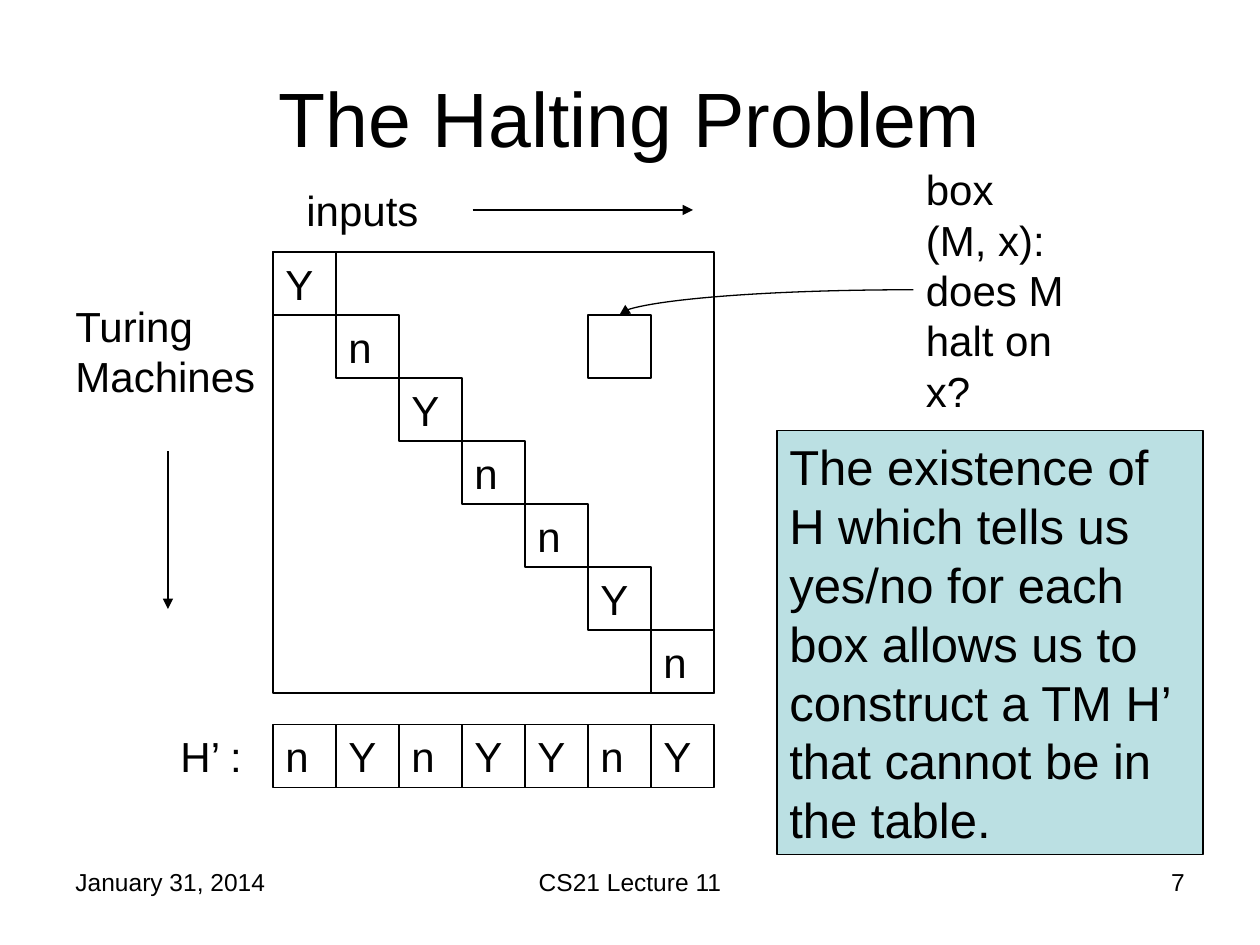
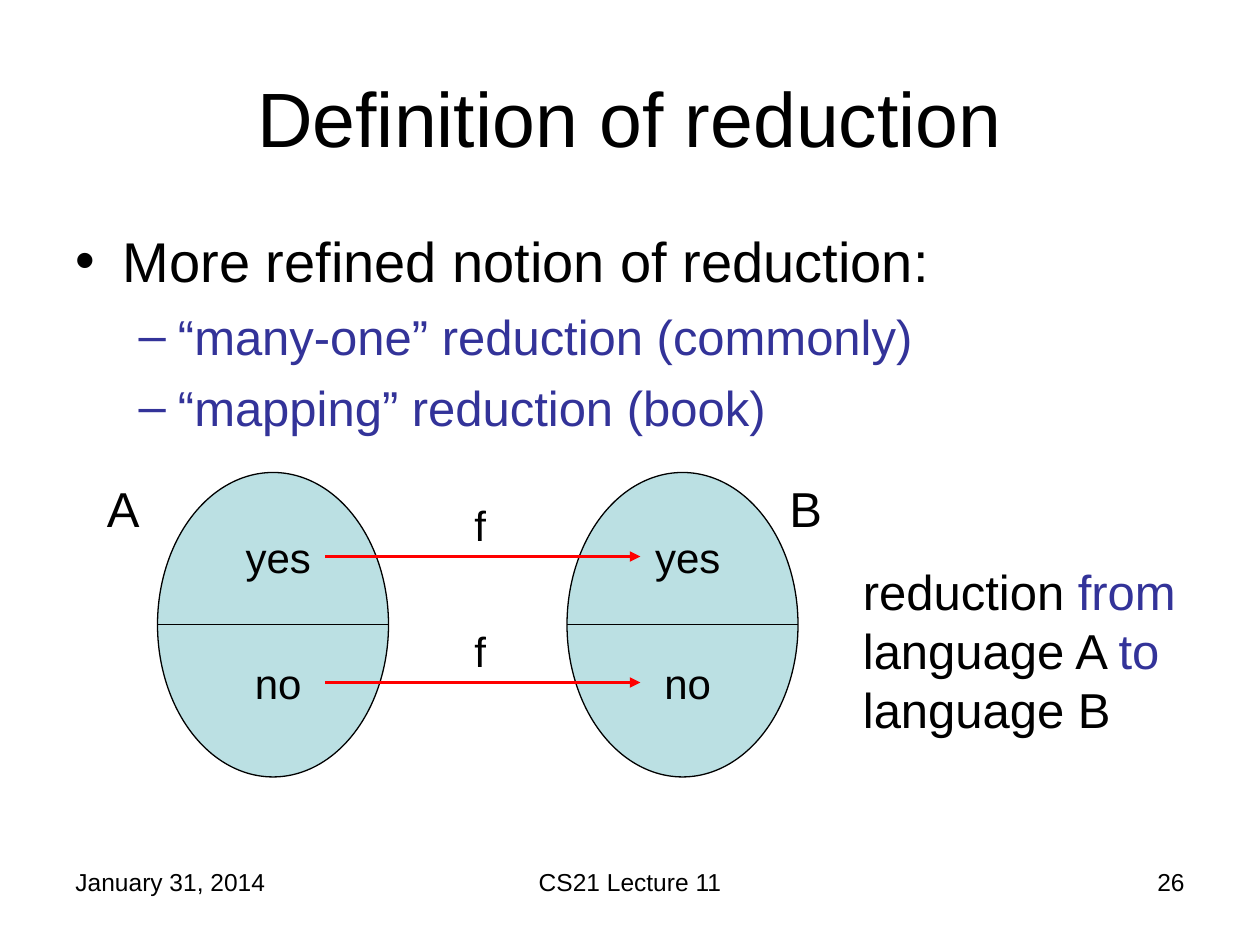
from pptx import Presentation
from pptx.dml.color import RGBColor
from pptx.enum.shapes import MSO_CONNECTOR as Link, MSO_SHAPE as Preset
from pptx.enum.text import MSO_ANCHOR as Anchor, MSO_AUTO_SIZE as AutoSize, PP_ALIGN as Align
from pptx.oxml.ns import qn
from pptx.util import Pt
from lxml.etree import SubElement

FONT = "Arial"
BLACK = RGBColor(0x00, 0x00, 0x00)
BLUE = RGBColor(0x33, 0x33, 0x99)
TEAL = RGBColor(0xBB, 0xE0, 0xE3)
RED = RGBColor(0xFF, 0x00, 0x00)


def add_box(page, left, top, width, height, text="", size=24, align=Align.LEFT, preset=None, fill=None):
    """Add a text box, or an outlined preset shape, and return its paragraph."""
    frame = Pt(left), Pt(top), Pt(width), Pt(height)
    if preset is None:
        box = page.shapes.add_textbox(*frame)
    else:
        box = page.shapes.add_shape(preset, *frame)
        box.shadow.inherit = False
        box.line.color.rgb = BLACK
        box.line.width = Pt(0.75)
        if fill is None:
            box.fill.background()
        else:
            box.fill.solid()
            box.fill.fore_color.rgb = fill
    box.text_frame.word_wrap = True
    box.text_frame.vertical_anchor = Anchor.TOP
    para = box.text_frame.paragraphs[0]
    para.text = text
    para.alignment = align
    para.font.name = FONT
    para.font.size = Pt(size)
    para.font.color.rgb = BLACK
    return para


def add_line(page, start, end, color=BLACK, width=0.75, arrow=True, kind=Link.STRAIGHT):
    line = page.shapes.add_connector(kind, *map(Pt, start + end))
    line.line.color.rgb = color
    line.line.width = Pt(width)
    if arrow:
        SubElement(line.line._get_or_add_ln(), qn("a:tailEnd"), type="triangle")
    SubElement(line._element.spPr, qn("a:effectLst"))
    return line


deck = Presentation()
deck.slide_width, deck.slide_height = Pt(720), Pt(540)
title_only, title_and_body = deck.slide_layouts[5], deck.slide_layouts[1]
halting = deck.slides.add_slide(title_only)
reduction = deck.slides.add_slide(title_and_body)

# Titles and footers
for page, title, number in (
    (halting, "The Halting Problem", "7"),
    (reduction, "Definition of reduction", "26"),
):
    heading = page.shapes.title
    heading.left, heading.top, heading.width, heading.height = Pt(36), Pt(21.6), Pt(648), Pt(90)
    heading.text_frame.text = title
    heading.text_frame.vertical_anchor = Anchor.MIDDLE
    heading.text_frame.auto_size = AutoSize.NONE
    para = heading.text_frame.paragraphs[0]
    para.alignment = Align.CENTER
    para.font.name = FONT
    para.font.size = Pt(44)
    para.font.color.rgb = BLACK
    for left, width, text, align in (
        (36, 168, "January 31, 2014", Align.LEFT),
        (246, 228, "CS21 Lecture 11", Align.CENTER),
        (516, 168, number, Align.RIGHT),
    ):
        add_box(page, left, 492, width, 37.5, text, 14, align)

# The Halting Problem: diagonal of the table, and its opposite as row H’
CELL = 36
TABLE_LEFT, TABLE_TOP, FLIPPED_TOP = 156, 144, 414
DIAGONAL = "YnYnnYn"
side = CELL * len(DIAGONAL)
add_box(halting, TABLE_LEFT, TABLE_TOP, side, side, preset=Preset.RECTANGLE)
for index, answer in enumerate(DIAGONAL):
    flipped = "n" if answer == "Y" else "Y"
    for top, text in ((TABLE_TOP + index * CELL, answer), (FLIPPED_TOP, flipped)):
        add_box(halting, TABLE_LEFT + index * CELL, top, CELL, CELL, text, preset=Preset.RECTANGLE)
add_box(halting, TABLE_LEFT + 5 * CELL, TABLE_TOP + CELL, CELL, CELL, preset=Preset.RECTANGLE)

for left, top, width, height, text in (
    (36, 168, 132, 65, "Turing Machines"),
    (168, 102, 132, 36, "inputs"),
    (96, FLIPPED_TOP, 60, 36, "H’ :"),
    (522, 90, 102, 151, "box\v(M, x): does M halt on x?"),
):
    add_box(halting, left, top, width, height, text)
add_line(halting, (96, 258), (96, 348))
add_line(halting, (270, 120), (396, 120))
pointer = add_line(halting, (522, 165.6), (354, 180), kind=Link.CURVE)
pointer._element.spPr.find(qn("a:prstGeom")).set("prst", "curvedConnector2")
add_box(halting, 444, 246, 243.5, 242.5,
        "The existence of H which tells us yes/no for each box allows us to "
        "construct a TM H’ that cannot be in the table.",
        28, preset=Preset.RECTANGLE, fill=TEAL)

# Definition of reduction: list
body = reduction.placeholders[1]
body.left, body.top, body.width, body.height = Pt(36), Pt(126), Pt(648), Pt(132)
body.text_frame.auto_size = AutoSize.NONE
for index, (text, level, size, color, space) in enumerate((
    ("More refined notion of reduction:", 0, 32, BLACK, 0),
    ("“many-one” reduction (commonly)", 1, 28, BLUE, 7),
    ("“mapping” reduction (book)", 1, 28, BLUE, 7),
)):
    para = body.text_frame.add_paragraph() if index else body.text_frame.paragraphs[0]
    para.text = text
    para.level = level
    para.space_before = Pt(space)
    para.font.name = FONT
    para.font.size = Pt(size)
    para.font.color.rgb = color

# Languages A and B, each split into yes and no
ANSWERS = (("yes", 300), ("no", 372))
for name, name_left, left in (("A", 54, 90), ("B", 444, 324)):
    add_box(reduction, left, 270, 132, 174, preset=Preset.OVAL, fill=TEAL)
    add_line(reduction, (left, 357), (left + 132, 357), arrow=False)
    add_box(reduction, name_left, 270, 42, 41, name, 28)
    for answer, top in ANSWERS:
        add_box(reduction, left + 42, top, 54, 36, answer, align=Align.CENTER)
for answer, top in ANSWERS:
    add_line(reduction, (186, top + 18), (366, top + 18), RED, 2)
    add_box(reduction, 264, top - 18, 42, 36, "f")

caption = add_box(reduction, 486, 317.5, 198, 108, size=28)
for text, color in (
    ("reduction ", BLACK),
    ("from", BLUE),
    (" language A ", BLACK),
    ("to", BLUE),
    (" language B", BLACK),
):
    span = caption.add_run()
    span.text = text
    span.font.color.rgb = color

deck.save("out.pptx")
